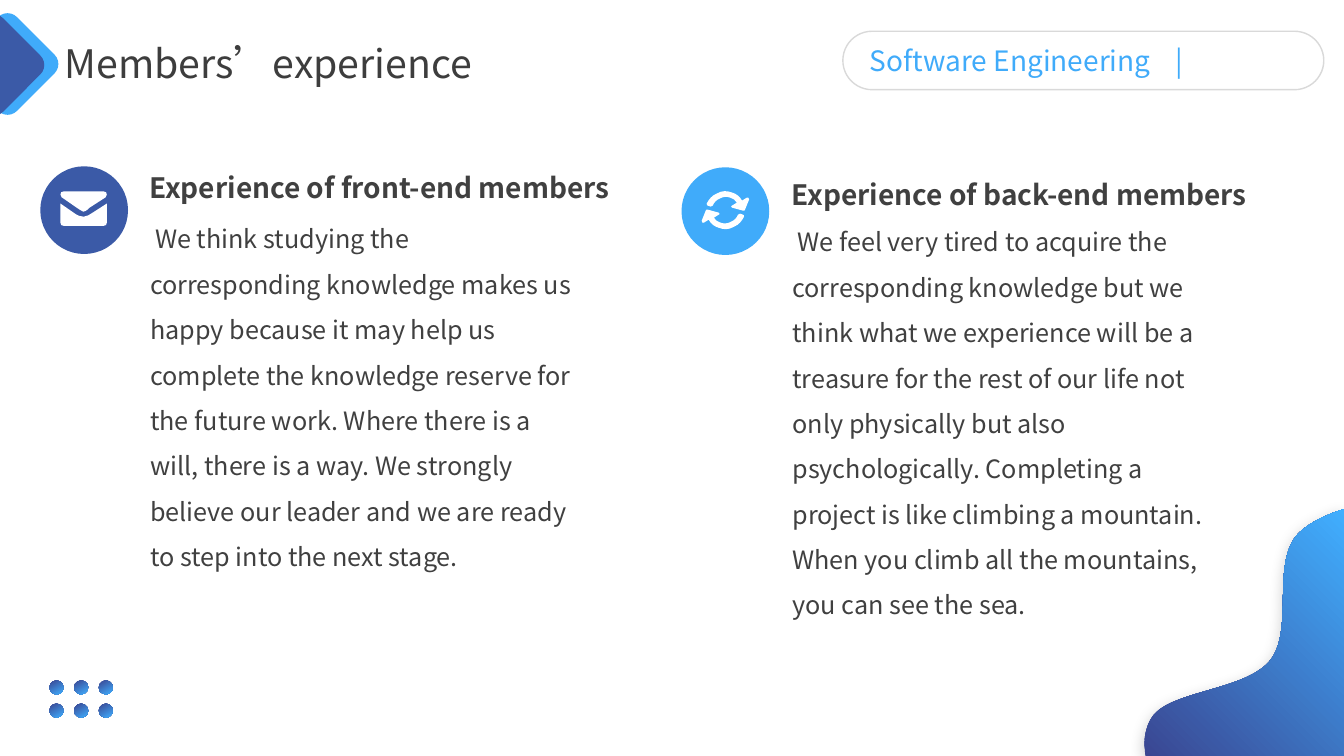
from dataclasses import dataclass
from itertools import product

from lxml.etree import SubElement
from pptx import Presentation
from pptx.dml.color import RGBColor
from pptx.enum.lang import MSO_LANGUAGE_ID
from pptx.enum.shapes import MSO_SHAPE
from pptx.enum.text import MSO_ANCHOR, MSO_AUTO_SIZE, PP_ALIGN
from pptx.oxml.ns import qn
from pptx.shapes.base import BaseShape
from pptx.slide import Slide
from pptx.text.text import TextFrame
from pptx.util import Inches, Pt

Path = list[tuple[float, ...]]
Box = tuple[float, float, float, float]


@dataclass(frozen=True)
class Theme:
    font: str = "Noto Sans CJK SC"
    ink: str = "404040"
    head: str = "3D3D3D"
    navy: str = "3B5AA7"
    sky: str = "40ABFA"
    white: str = "FFFFFF"
    rule: str = "D9D9D9"
    deep: str = "3A4692"
    light: str = "40AFFF"
    title: int = 28
    label: int = 20
    body: int = 18
    lead: int = 16


@dataclass(frozen=True)
class Card:
    title: str
    text: str
    title_box: Box
    text_box: Box
    disc: Box
    color: str
    icon: list[Path]


THEME = Theme()

# A pair is a straight step; six numbers are a cubic curve.
MAIL: list[Path] = [
    [(0.6, 2.02), (0.73, 2.11), (0.77, 2.14, 0.8, 2.15, 0.83, 2.15),
     (0.86, 2.15, 0.89, 2.13, 0.92, 2.11), (1.06, 2.02), (1.06, 2.21),
     (1.06, 2.23, 1.05, 2.24, 1.03, 2.24), (0.63, 2.24),
     (0.61, 2.24, 0.6, 2.23, 0.6, 2.21)],
    [(0.63, 1.9), (1.03, 1.9), (1.05, 1.9, 1.06, 1.91, 1.06, 1.93),
     (1.06, 1.95, 1.04, 1.97, 1.03, 1.97), (0.89, 2.06),
     (0.86, 2.09, 0.84, 2.1, 0.83, 2.1), (0.82, 2.1, 0.79, 2.08, 0.76, 2.06),
     (0.63, 1.97), (0.62, 1.97, 0.6, 1.95, 0.6, 1.93),
     (0.6, 1.91, 0.61, 1.9, 0.63, 1.9)],
]
ARROW: Path = [
    (7.37, 2.13), (7.38, 2.13, 7.38, 2.14, 7.38, 2.15),
    (7.36, 2.19, 7.33, 2.23, 7.28, 2.25), (7.23, 2.28, 7.18, 2.28, 7.13, 2.26),
    (7.09, 2.25, 7.05, 2.22, 7.03, 2.18), (6.98, 2.21),
    (6.97, 2.21, 6.96, 2.21, 6.96, 2.19), (7, 2.09),
    (7, 2.08, 7.01, 2.08, 7.02, 2.08), (7.13, 2.11),
    (7.14, 2.12, 7.14, 2.13, 7.13, 2.13), (7.08, 2.16),
    (7.1, 2.19, 7.12, 2.2, 7.15, 2.21), (7.18, 2.22, 7.22, 2.22, 7.25, 2.2),
    (7.28, 2.19, 7.31, 2.16, 7.32, 2.13), (7.33, 2.12, 7.33, 2.12, 7.34, 2.12),
]
WAVE: Path = [
    (13.33, 7.5), (13.33, 5.05), (13.3, 5.06),
    (13.12, 5.12, 12.97, 5.2, 12.88, 5.29), (12.6, 5.58, 12.84, 6.24, 12.6, 6.55),
    (12.36, 6.85, 11.61, 6.85, 11.43, 7.11), (11.38, 7.18, 11.35, 7.28, 11.35, 7.39),
    (11.36, 7.5),
]


def turn(trace: Path, x: float, y: float) -> Path:
    """Rotate a path by half a turn about (x, y)."""
    return [tuple(2 * (y if i % 2 else x) - v for i, v in enumerate(step))
            for step in trace]


CARDS = [
    Card("Experience of front-end members",
         "We think studying the corresponding knowledge makes us happy because it may "
         "help us complete the knowledge reserve for the future work. Where there is a "
         "will, there is a way. We strongly believe our leader and we are ready to step "
         "into the next stage.",
         (1.35, 1.45, 5.05, 0.58), (1.36, 2.0, 4.55, 3.72), (0.4, 1.65, 0.87, 0.87),
         THEME.navy, MAIL),
    Card("Experience of back-end members",
         "We feel very tired to acquire the corresponding knowledge but we think what we "
         "experience will be a treasure for the rest of our life not only physically but "
         "also psychologically. Completing a project is like climbing a mountain. When "
         "you climb all the mountains, you can see the sea.",
         (7.72, 1.52, 5.21, 0.58), (7.73, 2.03, 4.55, 4.17), (6.76, 1.66, 0.87, 0.87),
         THEME.sky, [ARROW, turn(ARROW, 7.195, 2.085)]),
]


def paint(shape: BaseShape, color: str) -> None:
    shape.shadow.inherit = False
    shape.fill.solid()
    shape.fill.fore_color.rgb = RGBColor.from_string(color)
    shape.line.fill.background()


def blend(shape: BaseShape, angle: int) -> None:
    shape.shadow.inherit = False
    shape.line.fill.background()
    shape.fill.gradient()
    shape.fill.gradient_angle = angle
    for stop, color in zip(shape.fill.gradient_stops, (THEME.deep, THEME.light)):
        stop.color.rgb = RGBColor.from_string(color)


def shade(shape: BaseShape) -> None:
    """Give a soft shadow that falls straight down."""
    effects = shape._element.spPr.find(qn("a:effectLst"))
    outer = SubElement(effects, qn("a:outerShdw"), blurRad=str(Pt(11)),
                       dist=str(Pt(3)), dir="5400000", rotWithShape="0")
    black = SubElement(outer, qn("a:srgbClr"), val="000000")
    SubElement(black, qn("a:alpha"), val="22000")


def add_form(slide: Slide, box: Box, kind: MSO_SHAPE) -> BaseShape:
    return slide.shapes.add_shape(kind, *map(Inches, box))


def add_path(slide: Slide, traces: list[Path]) -> BaseShape:
    """Join the end points with lines, then bend the curved steps."""
    ends = [[(Inches(step[-2]), Inches(step[-1])) for step in trace] for trace in traces]
    pen = slide.shapes.build_freeform(*ends[0][0])
    pen.add_line_segments(ends[0][1:])
    for first, *rest in ends[1:]:
        pen.move_to(*first)
        pen.add_line_segments(rest)
    shape = pen.convert_to_shape()
    steps = [step for trace in traces for step in trace[1:]]
    lines = list(shape._element.iter(qn("a:lnTo")))
    for step, line in zip(steps, lines):
        if len(step) == 6:
            line.tag = qn("a:cubicBezTo")
            line.clear()
            for x, y in zip(step[::2], step[1::2]):
                SubElement(line, qn("a:pt"), x=str(Inches(x) - shape.left),
                           y=str(Inches(y) - shape.top))
    return shape


def add_run(frame: TextFrame, text: str, size: int, color: str, bold: bool = False) -> None:
    run = frame.paragraphs[0].add_run()
    run.text = text
    font = run.font
    font.name, font.size, font.bold = THEME.font, Pt(size), bold
    font.color.rgb = RGBColor.from_string(color)
    font.language_id = MSO_LANGUAGE_ID.SIMPLIFIED_CHINESE
    SubElement(run._r.rPr, qn("a:ea"), typeface=THEME.font)


def add_text(slide: Slide, box: Box, pad: tuple[float, float] = (0.1, 0.05),
             gap: float = 1.0) -> TextFrame:
    frame = slide.shapes.add_textbox(*map(Inches, box)).text_frame
    frame.word_wrap = True
    frame.margin_left = frame.margin_right = Inches(pad[0])
    frame.margin_top = frame.margin_bottom = Inches(pad[1])
    frame.paragraphs[0].line_spacing = gap
    return frame


def add_title(slide: Slide) -> None:
    title = slide.shapes.title
    title.left, title.top, title.width, title.height = map(Inches, (0.54, 0.34, 8.15, 0.57))
    frame = title.text_frame
    frame.auto_size, frame.vertical_anchor = MSO_AUTO_SIZE.NONE, MSO_ANCHOR.TOP
    frame.paragraphs[0].alignment = PP_ALIGN.LEFT
    add_run(frame, "Members’experience", THEME.title, THEME.head)


def add_badge(slide: Slide) -> None:
    frame = add_text(slide, (8.53, 0.38, 3.89, 0.44))
    tabs = SubElement(frame.paragraphs[0]._p.get_or_add_pPr(), qn("a:tabLst"))
    SubElement(tabs, qn("a:tab"), pos=str(Inches(3.03)), algn="l")
    add_run(frame, "Software Engineering\t|", THEME.label, THEME.sky)
    pill = add_form(slide, (8.36, 0.31, 4.77, 0.58), MSO_SHAPE.ROUNDED_RECTANGLE)
    pill.adjustments[0] = 0.5
    pill.shadow.inherit = False
    pill.fill.background()
    pill.line.color.rgb = RGBColor.from_string(THEME.rule)
    pill.line.width = Pt(1)


def add_card(slide: Slide, card: Card) -> None:
    pad = (0.13, 0.07)
    add_run(add_text(slide, card.title_box, pad, 1.5), card.title, THEME.label, THEME.ink, True)
    frame = add_text(slide, card.text_box, pad, 1.5)
    add_run(frame, " ", THEME.lead, THEME.ink)
    add_run(frame, card.text, THEME.body, THEME.ink)
    paint(add_form(slide, card.disc, MSO_SHAPE.OVAL), card.color)
    paint(add_path(slide, card.icon), THEME.white)


def main() -> None:
    deck = Presentation()
    deck.slide_width, deck.slide_height = Inches(13.33), Inches(7.5)
    slide = deck.slides.add_slide(deck.slide_layouts[5])
    for row, col in product(range(2), range(3)):
        dot = (0.49 + 0.245 * col, 6.75 + 0.23 * row, 0.14, 0.14)
        blend(add_form(slide, dot, MSO_SHAPE.OVAL), 300)
    wave = add_path(slide, [WAVE])
    blend(wave, 45)
    shade(wave)
    add_badge(slide)
    for left, top, color in ((-0.32, 0.24, THEME.sky), (-0.46, 0.25, THEME.navy)):
        chip = add_form(slide, (left, top, 0.79, 0.79), MSO_SHAPE.ROUNDED_RECTANGLE)
        chip.rotation = 45
        paint(chip, color)
    add_title(slide)
    for card in CARDS:
        add_card(slide, card)
    deck.save("out.pptx")


if __name__ == "__main__":
    main()
